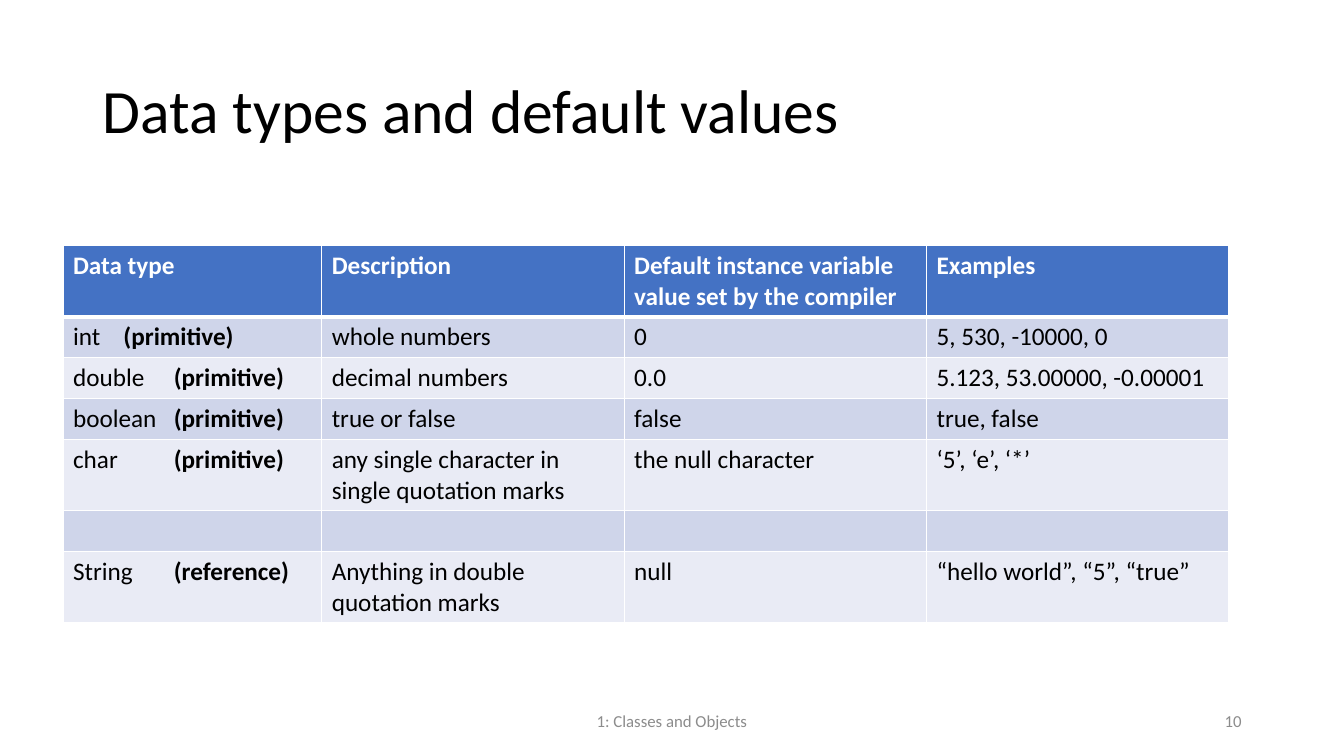
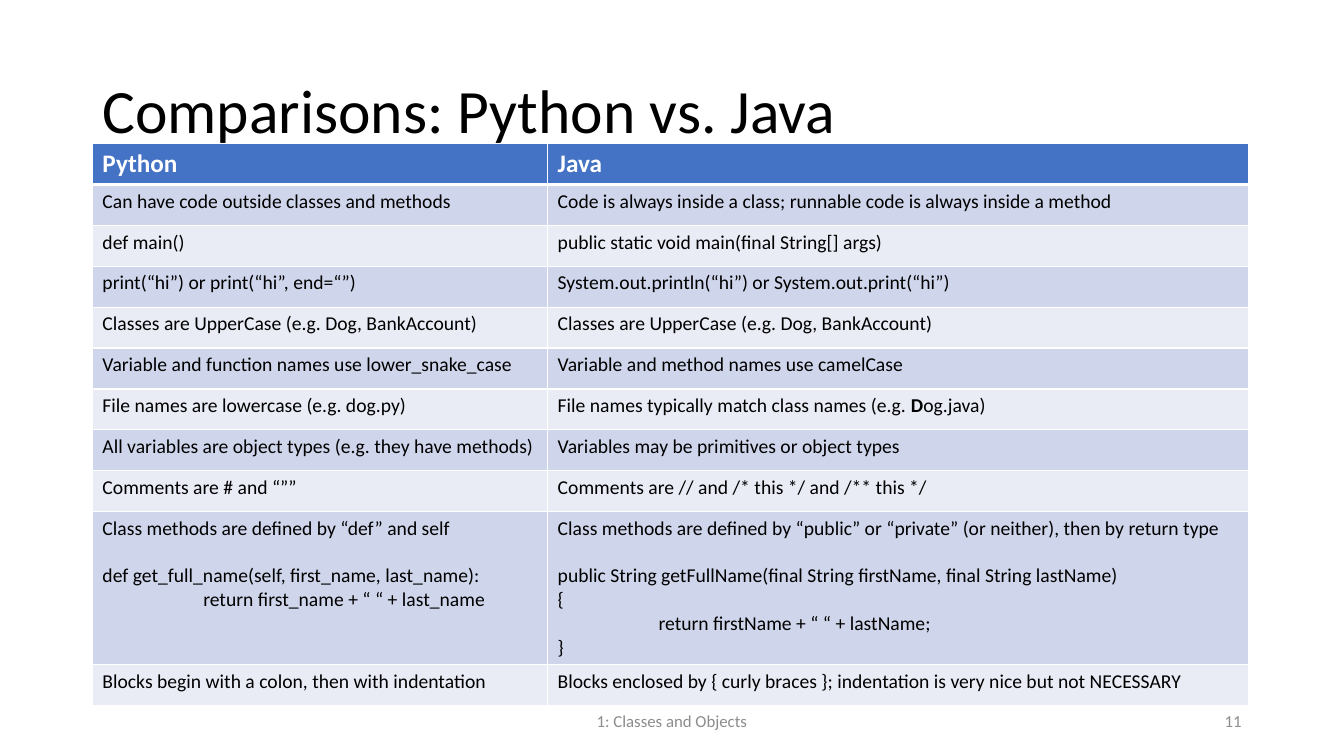
import pptx
import pptx.util
import pptx.dml.color
import pptx.enum.text
import pptx.oxml
import pptx.oxml.ns
import lxml.etree

ALIGN = pptx.enum.text.PP_ALIGN
MIDDLE = pptx.enum.text.MSO_ANCHOR.MIDDLE
UNIT = pptx.util.Inches(1) / 12
WIDE, HIGH = 160, 90
ROW = 4.87
LEFT = 11

COLORS = {
    "text": "000000",
    "white": "FFFFFF",
    "head": "4472C4",
    "odd": "CFD5EA",
    "even": "E9EBF5",
    "foot": "8C8C8C",
}

STYLES = {
    "title": {"size": 44, "color": "text"},
    "head": {"size": 18, "color": "white", "bold": True},
    "body": {"size": 18, "color": "text", "bold": False},
    "small": {"size": 14, "color": "text", "bold": False},
    "foot": {"size": 12, "color": "foot"},
}


def grid(count):
    return pptx.util.Emu(round(count * UNIT))


def color(name):
    return pptx.dml.color.RGBColor.from_string(COLORS[name])


class Deck:
    def __init__(self):
        self.file = pptx.Presentation()
        self.file.slide_width = grid(WIDE)
        self.file.slide_height = grid(HIGH)
        self.slide = None

    def page(self, title, number):
        self.slide = self.file.slides.add_slide(self.file.slide_layouts[5])
        shape = self.slide.shapes.title
        place = {"left": LEFT, "top": 4.8, "width": 138, "height": 17.4}
        for key, value in place.items():
            setattr(shape, key, grid(value))
        self.frame(shape.text_frame, title, "title", ALIGN.LEFT)
        shape.text_frame.paragraphs[0].line_spacing = 0.9
        self.label("1: Classes and Objects", 53, 54, ALIGN.CENTER)
        self.label(str(number), 113, 36, ALIGN.RIGHT)

    def label(self, text, left, width, align):
        box = self.slide.shapes.add_textbox(
            grid(left), grid(83.4), grid(width), grid(4.8))
        self.frame(box.text_frame, text, "foot", align)

    def frame(self, frame, text, style, align):
        frame.word_wrap = True
        frame.vertical_anchor = MIDDLE
        self.runs(frame.paragraphs[0], text, style)
        frame.paragraphs[0].alignment = align

    def runs(self, para, text, style):
        for index, part in enumerate(text.split("|")):
            if not part:
                continue
            run = para.add_run()
            run.text = part
            look = dict(STYLES[style], name="Calibri")
            look["size"] = pptx.util.Pt(look["size"])
            run.font.color.rgb = color(look.pop("color"))
            if index % 2:
                look["bold"] = True
            for key, value in look.items():
                setattr(run.font, key, value)

    def lines(self, frame, text, style):
        gap = False
        first = True
        for line in text.split("\n"):
            if first or line:
                para = frame.paragraphs[0] if first else frame.add_paragraph()
                if gap:
                    para.space_before = pptx.util.Pt(17)
                if line.startswith("\t"):
                    props = para._p.get_or_add_pPr()
                    props.set("marL", str(pptx.util.Inches(1)))
                self.runs(para, line.lstrip("\t"), style)
            gap = not line
            first = False

    def edges(self, cell, top, base):
        props = cell._tc.get_or_add_tcPr()
        for side, width in {"L": 1, "R": 1, "T": top, "B": base}.items():
            tag = pptx.oxml.ns.qn("a:ln" + side)
            line = lxml.etree.SubElement(
                props, tag, w=str(pptx.util.Pt(width)))
            paint = lxml.etree.SubElement(line, pptx.oxml.ns.qn("a:solidFill"))
            lxml.etree.SubElement(
                paint, pptx.oxml.ns.qn("a:srgbClr"), val=COLORS["white"])

    def table(self, left, top, widths, rows, style, tall):
        heights = [tall.get(index, ROW) for index in range(len(rows))]
        table = self.slide.shapes.add_table(
            len(rows), len(widths), grid(left), grid(top),
            grid(sum(widths)), grid(sum(heights))).table
        for column, width in zip(table.columns, widths):
            column.width = grid(width)
        for index, (texts, height) in enumerate(zip(rows, heights)):
            table.rows[index].height = grid(height)
            band = "odd" if index % 2 else "even"
            for column, text in enumerate(texts):
                cell = table.cell(index, column)
                self.edges(cell, 3 if index == 1 else 1, 1 if index else 3)
                cell.fill.solid()
                cell.fill.fore_color.rgb = color(band if index else "head")
                self.lines(cell.text_frame, text, style if index else "head")


TYPES = [
    ("Data type", "Description",
     "Default instance variable value set by the compiler", "Examples"),
    ("int \t|(primitive)|", "whole numbers", "0", "5, 530, -10000, 0"),
    ("double \t|(primitive)|", "decimal numbers", "0.0",
     "5.123, 53.00000, -0.00001"),
    ("boolean \t|(primitive)|", "true or false", "false", "true, false"),
    ("char \t|(primitive)|", "any single character in single quotation marks",
     "the null character", "‘5’, ‘e’, ‘*’"),
    ("", "", "", ""),
    ("String \t|(reference)|", "Anything in double quotation marks", "null",
     "“hello world”, “5”, “true”"),
]

PAIRS = [
    ("Python", "Java"),
    ("Can have code outside classes and methods",
     "Code is always inside a class; runnable code is always inside a method"),
    ("def main()", "public static void main(final String[] args)"),
    ("print(“hi”) or print(“hi”, end=“”)",
     "System.out.println(“hi”) or System.out.print(“hi”)"),
    ("Classes are UpperCase (e.g. Dog, BankAccount)",) * 2,
    ("Variable and function names use lower_snake_case",
     "Variable and method names use camelCase"),
    ("File names are lowercase (e.g. dog.py)",
     "File names typically match class names (e.g. |D|og.java)"),
    ("All variables are object types (e.g. they have methods)",
     "Variables may be primitives or object types"),
    ("Comments are # and “””",
     "Comments are // and /* this */ and /** this */"),
    ("Class methods are defined by “def” and self\n\n"
     "def get_full_name(self, first_name, last_name):\n"
     "\treturn first_name + “ “ + last_name",
     "Class methods are defined by “public” or “private” (or neither), "
     "then by return type\n\n"
     "public String getFullName(final String firstName, "
     "final String lastName)\n"
     "{\n\treturn firstName + “ “ + lastName;\n}"),
    ("Blocks begin with a colon, then with indentation",
     "Blocks enclosed by { curly braces }; "
     "indentation is very nice but not NECESSARY"),
]


def main():
    deck = Deck()
    deck.page("Data types and default values", 10)
    deck.table(7.5, 29.2, [30.8, 36, 36, 36], TYPES, "body",
               dict.fromkeys((0, 4, 6), 8.5))
    deck.page("Comparisons: Python vs. Java", 11)
    deck.table(LEFT, 17.1, [54.2, 83.5], PAIRS, "small", {9: 18.2})
    deck.file.save("out.pptx")


if __name__ == "__main__":
    main()
